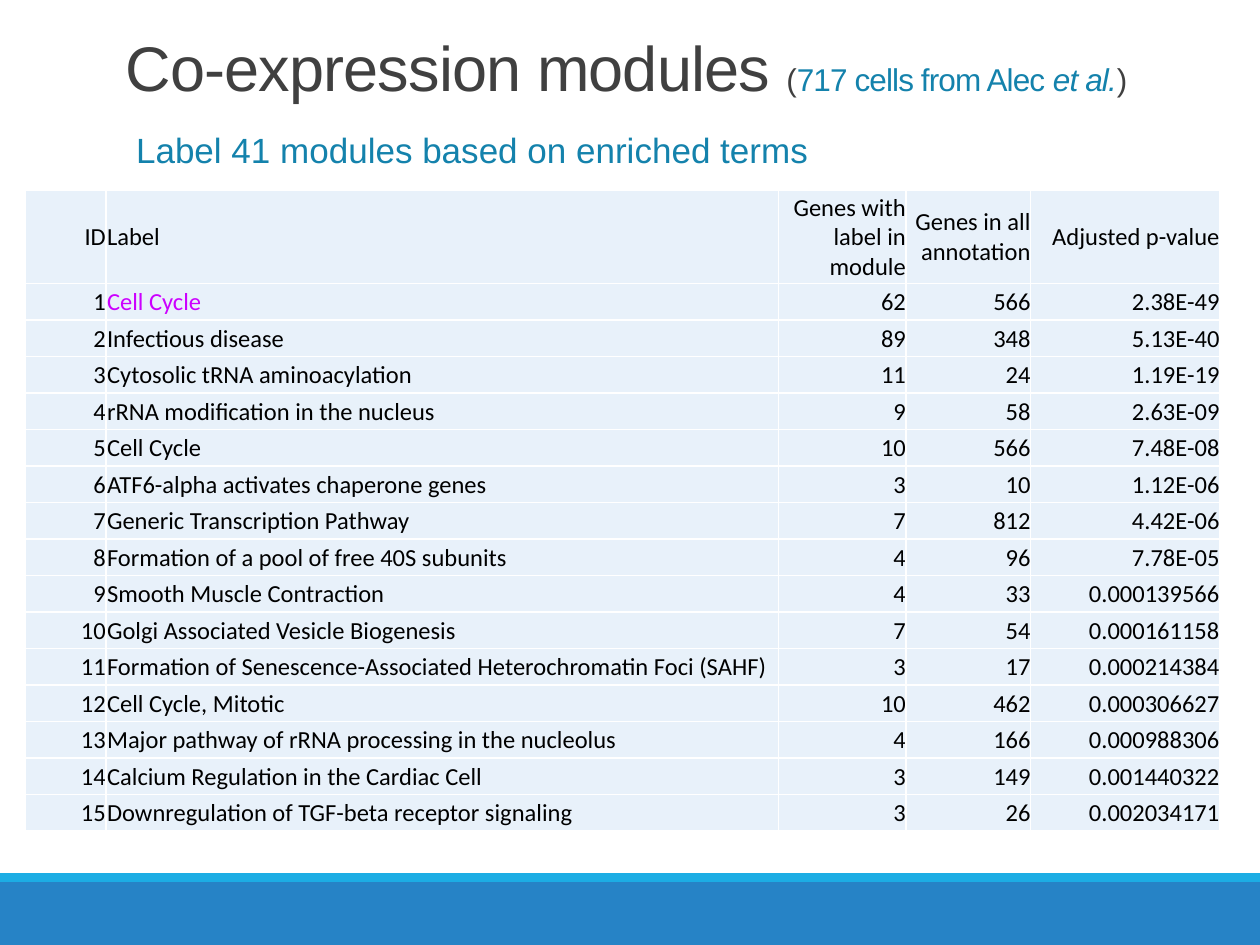
from lxml import etree
from pptx import Presentation
from pptx.dml.color import RGBColor
from pptx.enum.shapes import MSO_SHAPE
from pptx.enum.text import MSO_ANCHOR, PP_ALIGN
from pptx.oxml.ns import qn
from pptx.util import Inches, Pt

RECTANGLE = MSO_SHAPE.RECTANGLE
MIDDLE, BOTTOM = MSO_ANCHOR.MIDDLE, MSO_ANCHOR.BOTTOM
LEFT, RIGHT = PP_ALIGN.LEFT, PP_ALIGN.RIGHT

COLOURS = {
    "band": "2683C6",
    "stripe": "1CADE4",
    "title": "404040",
    "accent": "1482AC",
    "cell": "E8F1FA",
    "border": "FFFFFF",
    "text": "000000",
    "highlight": "CC00FF",
}


def add_span(para, text, size, colour, font="Arial"):
    span = para.add_run()
    span.text = text
    span.font.name = font
    span.font.size = Pt(size)
    span.font.color.rgb = RGBColor.from_string(COLOURS[colour])
    return span


def add_borders(cell):
    properties = cell._tc.get_or_add_tcPr()
    for side in ("lnL", "lnR", "lnT", "lnB"):
        line = etree.SubElement(properties, qn(f"a:{side}"), w=str(Pt(1)))
        fill = etree.SubElement(line, qn("a:solidFill"))
        etree.SubElement(fill, qn("a:srgbClr"), val=COLOURS["border"])


deck = Presentation()
deck.slide_width, deck.slide_height = Inches(10), Inches(7.5)
page = deck.slides.add_slide(deck.slide_layouts[6])

# Footer bands
for top, height, colour in ((7, 0.5, "band"), (6.93, 0.07, "stripe")):
    band = page.shapes.add_shape(RECTANGLE, 0, Inches(top), Inches(10), Inches(height))
    band.shadow.inherit = False
    band.fill.solid()
    band.fill.fore_color.rgb = RGBColor.from_string(COLOURS[colour])
    band.line.fill.background()

# Title
title_box = page.shapes.add_textbox(Inches(0.9), Inches(0.09), Inches(8.25), Inches(0.8))
title_box.text_frame.word_wrap = True
title_box.text_frame.vertical_anchor = BOTTOM
title_box.text_frame.margin_bottom = Inches(0.06)
para = title_box.text_frame.paragraphs[0]
para.line_spacing = 0.85
for text, size, colour, italic in (
    ("Co-expression modules ", 36, "title", False),
    ("(", 18, "title", False),
    ("717 cells from Alec ", 18, "accent", False),
    ("et al.", 18, "accent", True),
    (")", 18, "title", False),
):
    span = add_span(para, text, size, colour)
    span.font.italic = italic
    span.font._element.set("spc", "-50")

# Subtitle
subtitle_box = page.shapes.add_textbox(Inches(0.9), Inches(0.97), Inches(8.25), Inches(0.9))
subtitle_box.text_frame.word_wrap = True
subtitle_box.text_frame.margin_left = Inches(0.18)
add_span(subtitle_box.text_frame.paragraphs[0],
         "Label 41 modules based on enriched terms", 20, "accent")

# Module table
HEADER = ("ID", "Label", "Genes with label in module",
          "Genes in all annotation", "Adjusted p-value")
MODULES = (
    ("Cell Cycle", 62, 566, "2.38E-49"),
    ("Infectious disease", 89, 348, "5.13E-40"),
    ("Cytosolic tRNA aminoacylation", 11, 24, "1.19E-19"),
    ("rRNA modification in the nucleus", 9, 58, "2.63E-09"),
    ("Cell Cycle", 10, 566, "7.48E-08"),
    ("ATF6-alpha activates chaperone genes", 3, 10, "1.12E-06"),
    ("Generic Transcription Pathway", 7, 812, "4.42E-06"),
    ("Formation of a pool of free 40S subunits", 4, 96, "7.78E-05"),
    ("Smooth Muscle Contraction", 4, 33, "0.000139566"),
    ("Golgi Associated Vesicle Biogenesis", 7, 54, "0.000161158"),
    ("Formation of Senescence-Associated Heterochromatin Foci (SAHF)", 3, 17, "0.000214384"),
    ("Cell Cycle, Mitotic", 10, 462, "0.000306627"),
    ("Major pathway of rRNA processing in the nucleolus", 4, 166, "0.000988306"),
    ("Calcium Regulation in the Cardiac Cell", 3, 149, "0.001440322"),
    ("Downregulation of TGF-beta receptor signaling", 3, 26, "0.002034171"),
)
rows = [HEADER] + [(number, *module) for number, module in enumerate(MODULES, 1)]
table = page.shapes.add_table(len(rows), len(HEADER), Inches(0.2), Inches(1.51),
                              Inches(9.48), Inches(5.08)).table
for column, width in zip(table.columns, (0.64, 5.34, 1.01, 0.99, 1.5)):
    column.width = Inches(width)
for r, values in enumerate(rows):
    table.rows[r].height = Inches(0.29 if r else 0.74)
    for c, value in enumerate(values):
        cell = table.cell(r, c)
        add_borders(cell)
        cell.fill.solid()
        cell.fill.fore_color.rgb = RGBColor.from_string(COLOURS["cell"])
        cell.vertical_anchor = MIDDLE
        cell.margin_left = cell.margin_top = Inches(0.01)
        cell.margin_right = cell.margin_bottom = 0
        para = cell.text_frame.paragraphs[0]
        para.alignment = LEFT if c == 1 else RIGHT
        colour = "highlight" if (r, c) == (1, 1) else "text"
        add_span(para, str(value), 14, colour, "Calibri").font.bold = False

deck.save("out.pptx")
